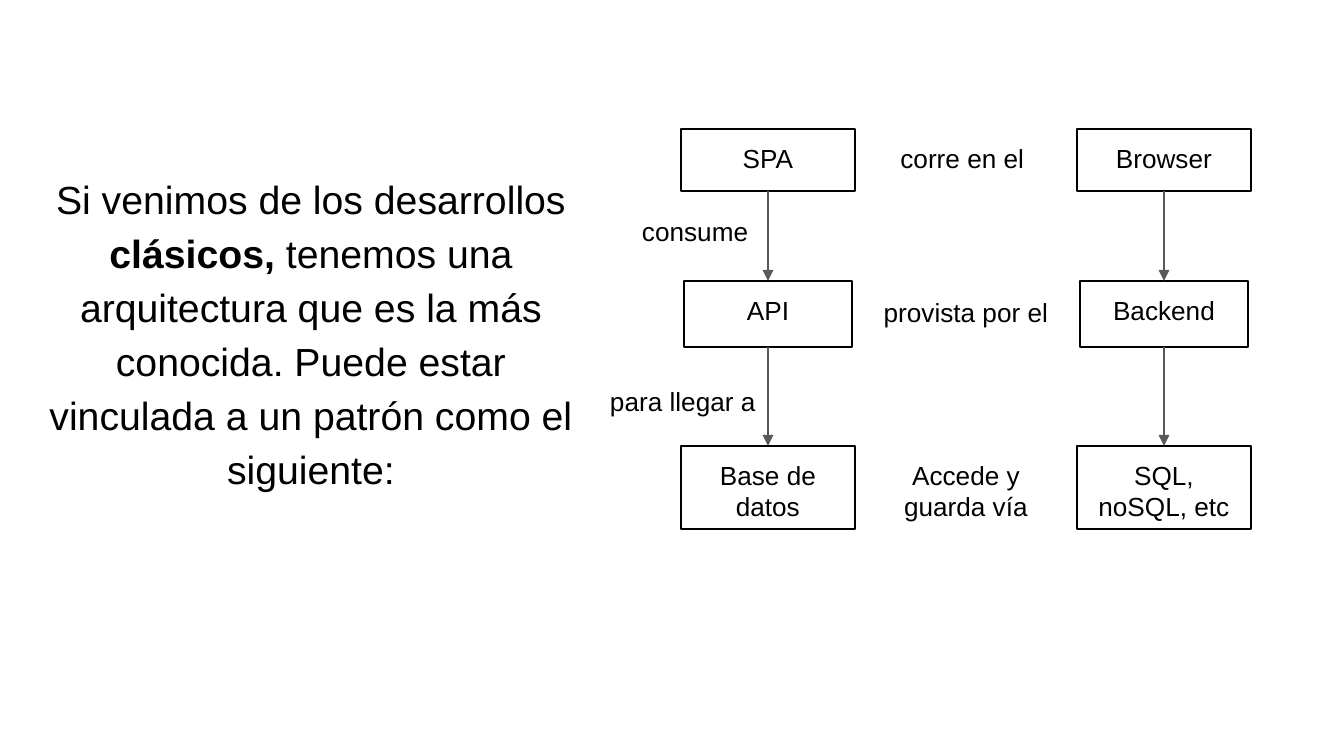
from lxml.etree import SubElement
from pptx import Presentation
from pptx.dml.color import RGBColor
from pptx.enum.shapes import MSO_CONNECTOR, MSO_SHAPE
from pptx.enum.text import MSO_ANCHOR, PP_ALIGN
from pptx.oxml.ns import qn
from pptx.util import Emu, Pt

SCALE = 914400 / 134.4  # EMU in one px
COLORS = {"text": "000000", "border": "000000", "arrow": "595959"}
INSET = 13


def px(value):
    return Emu(round(value * SCALE))


def color(name):
    return RGBColor.from_string(COLORS[name])


def write_text(holder, runs, size=14, align=PP_ALIGN.CENTER, spacing=None):
    """Write runs, a list of (text, bold) pairs, as one paragraph."""
    frame = holder.text_frame
    frame.word_wrap = True
    frame.vertical_anchor = MSO_ANCHOR.TOP
    frame.margin_left = frame.margin_right = px(INSET)
    frame.margin_top = frame.margin_bottom = px(INSET)
    paragraph = frame.paragraphs[0]
    paragraph.alignment = align
    if spacing:
        paragraph.line_spacing = spacing
    for text, bold in runs:
        run = paragraph.add_run()
        run.text = text
        run.font.name = "Arial"
        run.font.size = Pt(size)
        run.font.bold = bold
        run.font.color.rgb = color("text")


def add_label(slide, left, top, width, height, runs, **text_format):
    label = slide.shapes.add_textbox(px(left), px(top), px(width), px(height))
    write_text(label, runs, **text_format)


def add_box(slide, center, top, width, height, text):
    box = slide.shapes.add_shape(
        MSO_SHAPE.RECTANGLE, px(center - width / 2), px(top), px(width), px(height)
    )
    box.shadow.inherit = False
    box.fill.background()
    box.line.color.rgb = color("border")
    box.line.width = Pt(0.75)
    write_text(box, [(text, False)])
    return box


def add_arrow(slide, upper, lower):
    arrow = slide.shapes.add_connector(MSO_CONNECTOR.STRAIGHT, 0, 0, 0, 0)
    arrow.begin_connect(upper, 2)
    arrow.end_connect(lower, 0)
    arrow.line.color.rgb = color("arrow")
    arrow.line.width = Pt(0.75)
    SubElement(arrow.line._get_or_add_ln(), qn("a:tailEnd"), type="triangle")
    SubElement(arrow._element.spPr, qn("a:effectLst"))


def add_stack(slide, center, names, rows):
    """Stack one box per row and join each to the next."""
    boxes = [add_box(slide, center, *row, name) for name, row in zip(names, rows)]
    for upper, lower in zip(boxes, boxes[1:]):
        add_arrow(slide, upper, lower)


def main():
    deck = Presentation()
    deck.slide_width, deck.slide_height = px(1344), px(756)
    slide = deck.slides.add_slide(deck.slide_layouts[6])

    # Introduction
    introduction = [
        ("Si venimos de los desarrollos ", False),
        ("clásicos,", True),
        (" tenemos una arquitectura que es la más conocida. "
         "Puede estar vinculada a un patrón como el siguiente:", False),
    ]
    add_label(slide, 34, 155, 554, 384, introduction, size=21, spacing=1.15)

    # Architecture layers and the technology behind each
    rows = [(129, 174, 62), (281, 168, 66), (446, 174, 83)]  # top, width, height
    layer_center, technology_center = 768, 1164
    add_stack(slide, layer_center, ["SPA", "API", "Base de datos"], rows)
    add_stack(slide, technology_center, ["Browser", "Backend", "SQL, noSQL, etc"], rows)

    # Relations between the two columns
    middle = (layer_center + technology_center) // 2
    for text, top, width in [
        ("corre en el ", 129, 174),
        ("provista por el", 283, 202),
        ("Accede y guarda vía", 446, 202),
    ]:
        add_label(slide, middle - width // 2, top, width, 62, [(text, False)])

    # Relations between the layers
    for text, left, top, width in [
        ("consume", 629, 202, 140),
        ("para llegar a", 597, 372, 183),
    ]:
        add_label(slide, left, top, width, 81, [(text, False)], align=PP_ALIGN.LEFT)

    deck.save("out.pptx")


if __name__ == "__main__":
    main()
